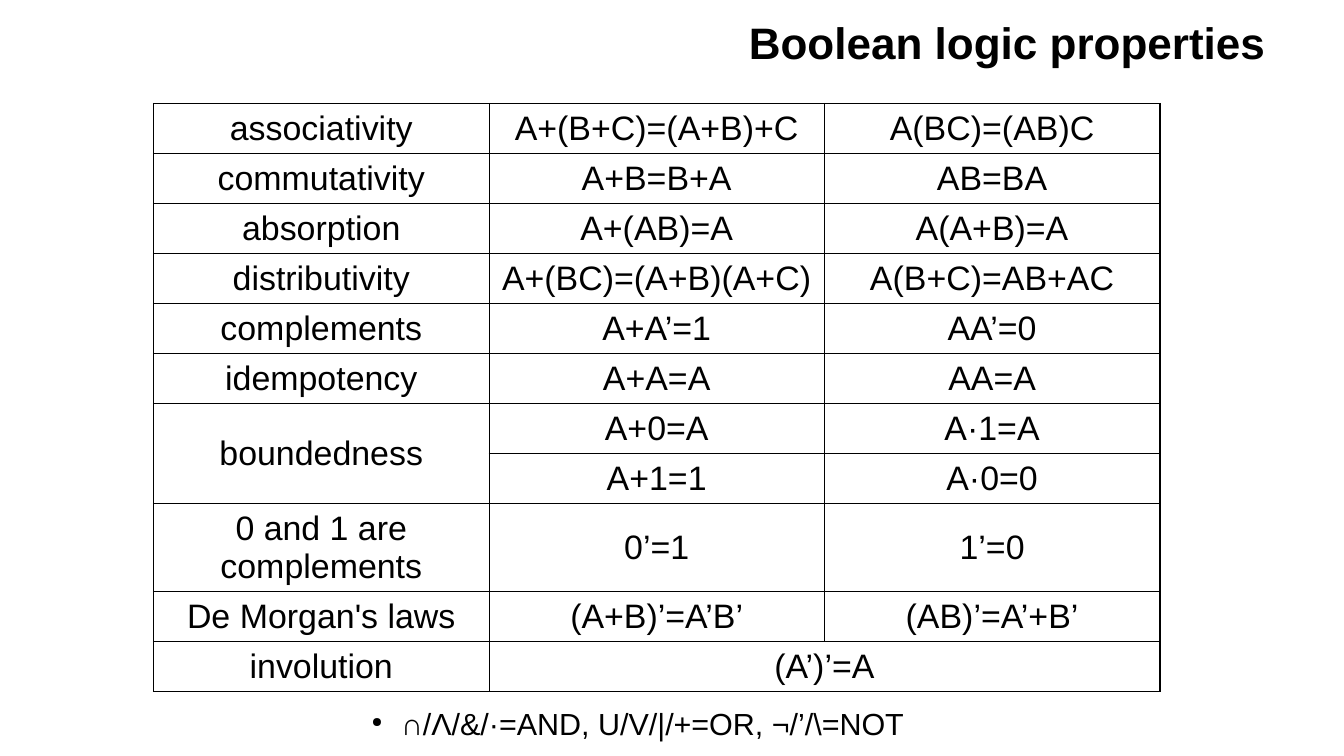
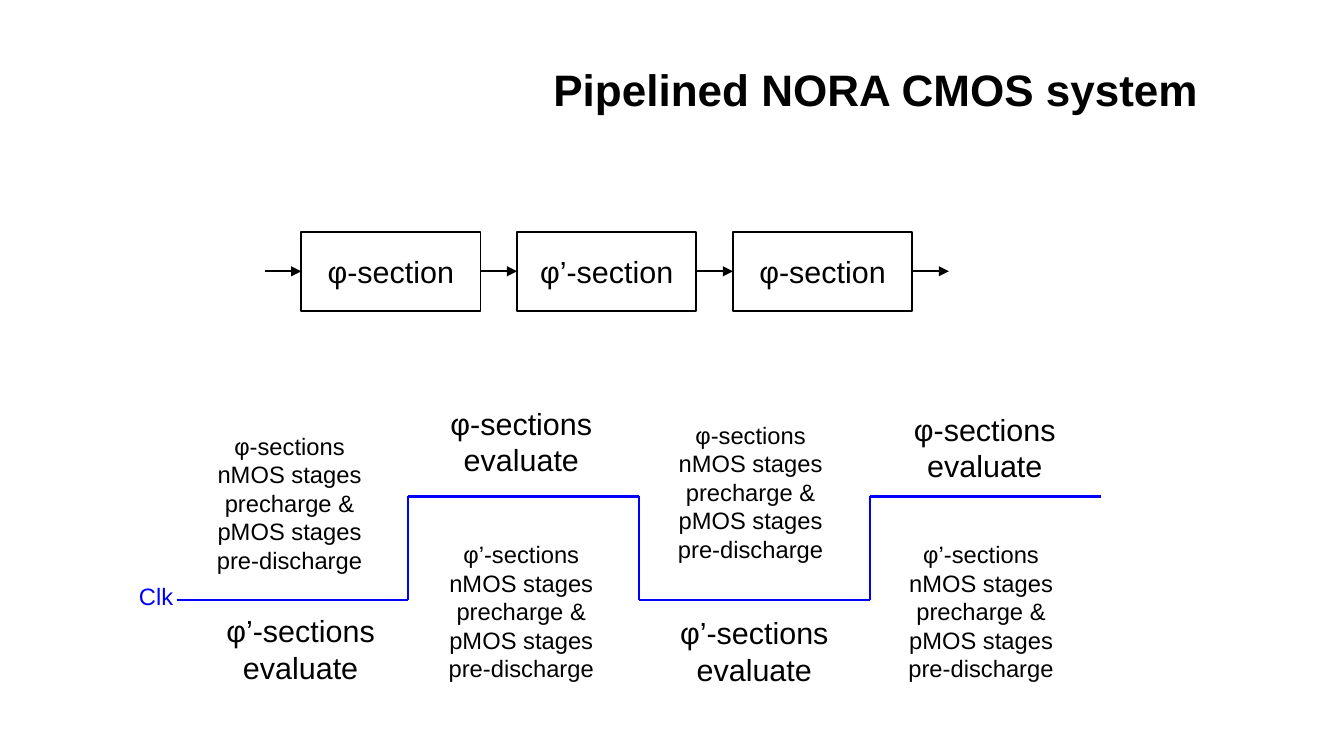
from dataclasses import dataclass
from itertools import pairwise

from lxml import etree
from pptx import Presentation
from pptx.dml.color import RGBColor
from pptx.enum.shapes import MSO_CONNECTOR, MSO_SHAPE
from pptx.enum.text import MSO_ANCHOR, MSO_AUTO_SIZE, PP_ALIGN
from pptx.oxml.ns import qn
from pptx.util import Inches, Pt

STRAIGHT = MSO_CONNECTOR.STRAIGHT
RECTANGLE = MSO_SHAPE.RECTANGLE
TOP, MIDDLE = MSO_ANCHOR.TOP, MSO_ANCHOR.MIDDLE
NO_AUTOFIT, GROW = MSO_AUTO_SIZE.NONE, MSO_AUTO_SIZE.SHAPE_TO_FIT_TEXT
LEFT, CENTER, RIGHT = PP_ALIGN.LEFT, PP_ALIGN.CENTER, PP_ALIGN.RIGHT

FONT = "Arial"
BLACK, BLUE = "000000", "0000FF"
TITLE_ONLY = 5
NO_TABLE_STYLE = "{2D5ABB26-0587-4C30-8999-92F81FD0307C}"
THIN_BORDER, OUTER_BORDER = 0.45, 1.08

TABLE_LEFT, TABLE_TOP = 1.26, 0.85
COLUMN_WIDTH = 2.75
ROW_HEIGHT, TALL_ROW_HEIGHT = 0.41, 0.72
PROPERTIES = [
    ("associativity", "A+(B+C)=(A+B)+C", "A(BC)=(AB)C"),
    ("commutativity", "A+B=B+A", "AB=BA"),
    ("absorption", "A+(AB)=A", "A(A+B)=A"),
    ("distributivity", "A+(BC)=(A+B)(A+C)", "A(B+C)=AB+AC"),
    ("complements", "A+A’=1", "AA’=0"),
    ("idempotency", "A+A=A", "AA=A"),
    ("boundedness", "A+0=A", "A·1=A"),
    ("", "A+1=1", "A·0=0"),
    ("0 and 1 are complements", "0’=1", "1’=0"),
    ("De Morgan's laws", "(A+B)’=A’B’", "(AB)’=A’+B’"),
    ("involution", "(A’)’=A", ""),
]
TALL_ROW = 8
MERGES = [((6, 0), (7, 0)), ((10, 1), (10, 2))]

SECTIONS = ["φ-section", "φ’-section", "φ-section"]
SECTION_LEFT, SECTION_TOP = 2.47, 1.9
SECTION_WIDTH, SECTION_HEIGHT = 1.47, 0.65
ARROW_LENGTH = 0.3

CLOCK_LEFT, CLOCK_WIDTH = 1.45, 7.58
CLOCK_HIGH, CLOCK_LOW = 4.07, 4.92
PHASES = 4


@dataclass(frozen=True)
class Label:
    text: str
    left: float
    top: float
    width: float
    height: float
    size: float = 18
    color: str = BLACK
    alignment: PP_ALIGN = CENTER


def evaluate_label(section: str, left: float, top: float) -> Label:
    return Label(f"{section}-sections evaluate", left, top, 1.47, 0.7)


def precharge_label(section: str, left: float, top: float) -> Label:
    text = f"{section}-sections nMOS stages precharge & pMOS stages pre-discharge"
    return Label(text, left, top, 1.53, 1.27, size=14)


CLOCK_LABELS = [
    Label("Clk", 0.88, 4.72, 0.8, 0.34, size=14, color=BLUE),
    precharge_label("φ", 1.61, 3.49),
    evaluate_label("φ’", 1.73, 4.97),
    evaluate_label("φ", 3.54, 3.27),
    precharge_label("φ’", 3.51, 4.38),
    precharge_label("φ", 5.39, 3.4),
    evaluate_label("φ’", 5.45, 4.99),
    evaluate_label("φ", 7.34, 3.32),
    precharge_label("φ’", 7.28, 4.38),
]


def rgb(color: str) -> RGBColor:
    return RGBColor.from_string(color)


def apply_format(target, values: dict) -> None:
    for name, value in values.items():
        setattr(target, name, value)


def format_paragraph(paragraph, size: float, color: str = BLACK,
                     alignment: PP_ALIGN = CENTER, bold: bool = False) -> None:
    paragraph.alignment = alignment
    apply_format(paragraph.font, {"name": FONT, "size": Pt(size), "bold": bold})
    paragraph.font.color.rgb = rgb(color)


def add_titled_slide(presentation, text: str, left: float, top: float):
    slide = presentation.slides.add_slide(presentation.slide_layouts[TITLE_ONLY])
    title = slide.shapes.title
    apply_format(title, {"left": Inches(left), "top": Inches(top),
                         "width": Inches(9.93), "height": Inches(0.77)})
    frame = title.text_frame
    frame.text = text
    apply_format(frame, {"vertical_anchor": MIDDLE, "word_wrap": True,
                         "auto_size": NO_AUTOFIT})
    paragraph = frame.paragraphs[0]
    paragraph.line_spacing = 0.85
    format_paragraph(paragraph, 26, alignment=RIGHT, bold=True)
    return slide


def add_label(slide, label: Label, bulleted: bool = False) -> None:
    box = slide.shapes.add_textbox(Inches(label.left), Inches(label.top),
                                   Inches(label.width), Inches(label.height))
    frame = box.text_frame
    frame.text = label.text
    apply_format(frame, {"word_wrap": True, "auto_size": GROW,
                         "vertical_anchor": MIDDLE if bulleted else TOP})
    paragraph = frame.paragraphs[0]
    if bulleted:
        add_bullet(paragraph)
    format_paragraph(paragraph, label.size, label.color, label.alignment)


def add_bullet(paragraph) -> None:
    properties = paragraph._p.get_or_add_pPr()
    indent = Inches(0.24)
    properties.set("marL", str(indent))
    properties.set("indent", str(-indent))
    etree.SubElement(properties, qn("a:buSzPct"), val="45000")
    etree.SubElement(properties, qn("a:buChar"), char="●")


def add_line(slide, start: tuple[float, float], end: tuple[float, float],
             color: str, width: float, arrow: bool = False) -> None:
    connector = slide.shapes.add_connector(
        STRAIGHT, *(Inches(value) for value in (*start, *end)))
    connector.line.color.rgb = rgb(color)
    connector.line.width = Pt(width)
    if arrow:
        etree.SubElement(connector.line._get_or_add_ln(), qn("a:tailEnd"), type="triangle")
    etree.SubElement(connector._element.spPr, qn("a:effectLst"))


def add_border(cell, side: str, width: float) -> None:
    properties = cell._tc.get_or_add_tcPr()
    border = etree.SubElement(properties, qn(f"a:ln{side}"), w=str(Pt(width)))
    fill = etree.SubElement(border, qn("a:solidFill"))
    etree.SubElement(fill, qn("a:srgbClr"), val=BLACK)


def format_cell(cell, outer_sides: dict[str, bool]) -> None:
    for side, outer in outer_sides.items():
        add_border(cell, side, OUTER_BORDER if outer else THIN_BORDER)
    cell.fill.background()
    cell.vertical_anchor = MIDDLE
    format_paragraph(cell.text_frame.paragraphs[0], 20)


def add_properties_table(slide) -> None:
    row_count, column_count = len(PROPERTIES), len(PROPERTIES[0])
    heights = [TALL_ROW_HEIGHT if row == TALL_ROW else ROW_HEIGHT
               for row in range(row_count)]
    frame = slide.shapes.add_table(
        row_count, column_count, Inches(TABLE_LEFT), Inches(TABLE_TOP),
        Inches(COLUMN_WIDTH * column_count), Inches(sum(heights)))
    table = frame.table
    apply_format(table, {"first_row": False, "horz_banding": False})
    table._tbl.tblPr.find(qn("a:tableStyleId")).text = NO_TABLE_STYLE
    for column in table.columns:
        column.width = Inches(COLUMN_WIDTH)
    for row, height in zip(table.rows, heights):
        row.height = Inches(height)
    for first, last in MERGES:
        table.cell(*first).merge(table.cell(*last))
    for row_index, texts in enumerate(PROPERTIES):
        for column_index, text in enumerate(texts):
            cell = table.cell(row_index, column_index)
            cell.text = text
            format_cell(cell, {
                "L": column_index == 0,
                "R": column_index + cell.span_width >= column_count,
                "T": row_index == 0,
                "B": row_index + cell.span_height >= row_count,
            })


def add_section(slide, text: str, left: float) -> None:
    shape = slide.shapes.add_shape(RECTANGLE, Inches(left), Inches(SECTION_TOP),
                                   Inches(SECTION_WIDTH), Inches(SECTION_HEIGHT))
    shape.shadow.inherit = False
    shape.fill.background()
    shape.line.color.rgb = rgb(BLACK)
    shape.line.width = Pt(1)
    frame = shape.text_frame
    frame.text = text
    apply_format(frame, {"word_wrap": False, "vertical_anchor": MIDDLE})
    format_paragraph(frame.paragraphs[0], 18)


def add_pipeline(slide) -> None:
    pitch = SECTION_WIDTH + ARROW_LENGTH
    middle = SECTION_TOP + SECTION_HEIGHT / 2
    for index, text in enumerate(SECTIONS):
        add_section(slide, text, SECTION_LEFT + index * pitch)
    for index in range(len(SECTIONS) + 1):
        tip = SECTION_LEFT + index * pitch
        add_line(slide, (tip - ARROW_LENGTH, middle), (tip, middle), BLACK, 1, arrow=True)


def add_clock(slide) -> None:
    phase_width = CLOCK_WIDTH / PHASES
    points = []
    for phase in range(PHASES):
        level = CLOCK_HIGH if phase % 2 else CLOCK_LOW
        left = CLOCK_LEFT + phase * phase_width
        points += [(left, level), (left + phase_width, level)]
    for start, end in pairwise(points):
        add_line(slide, start, end, BLUE, 1.5)
    for label in CLOCK_LABELS:
        add_label(slide, label)


def build_boolean_slide(presentation) -> None:
    slide = add_titled_slide(presentation, "Boolean logic properties", 0.55, -0.01)
    add_properties_table(slide)
    notation = Label("∩/Λ/&/·=AND, U/V/|/+=OR, ¬/’/\\=NOT",
                     2.95, 5.73, 4.63, 0.4, alignment=LEFT)
    add_label(slide, notation, bulleted=True)


def build_pipeline_slide(presentation) -> None:
    slide = add_titled_slide(presentation, "Pipelined NORA CMOS system", 0, 0.38)
    add_pipeline(slide)
    add_clock(slide)


def main() -> None:
    presentation = Presentation()
    presentation.slide_width = Inches(11.02)
    presentation.slide_height = Inches(6.2)
    build_boolean_slide(presentation)
    build_pipeline_slide(presentation)
    presentation.save("out.pptx")


if __name__ == "__main__":
    main()
